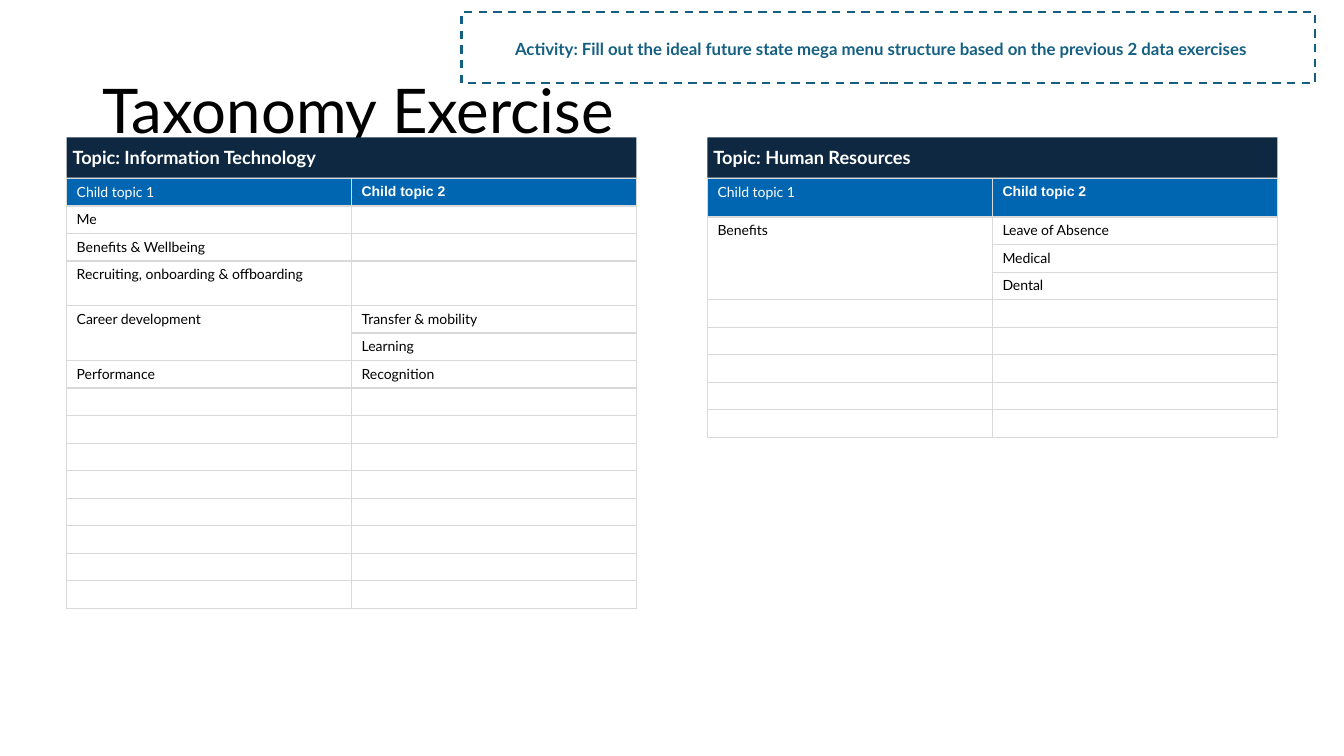
from lxml import etree
from pptx import Presentation
from pptx import util as u
from pptx.dml.color import RGBColor
from pptx.enum import dml, shapes, text
from pptx.oxml.ns import qn

# Content: None continues the topic above, "" is left open for the exercise
TITLE = "Taxonomy Exercise"
ACTIVITY = ("Activity: Fill out the ideal future state mega menu structure "
            "based on the previous 2 data exercises")
HEADINGS = ("Child topic 1", "Child topic 2")
OPEN_ROW = ("", "")
TOPICS = [
    {"name": "Topic: Information Technology", "left": 1.68, "header_height": 0.69,
     "tall_rows": {3: 1.12},
     "rows": [("Me", ""), ("Benefits & Wellbeing", ""),
              ("Recruiting, onboarding & offboarding", ""),
              ("Career development", "Transfer & mobility"), (None, "Learning"),
              ("Performance", "Recognition")] + [OPEN_ROW] * 8},
    {"name": "Topic: Human Resources", "left": 17.83, "header_height": 0.97,
     "tall_rows": {},
     "rows": [("Benefits", "Leave of Absence"), (None, "Medical"),
              (None, "Dental")] + [OPEN_ROW] * 5},
]

NAVY, BLUE, TEAL, GREY = "0E2841", "0066B2", "156082", "D9D9D9"
WHITE, BLACK = "FFFFFF", "000000"
TOPIC_WIDTH, BANNER_TOP, BANNER_HEIGHT, ROW_HEIGHT = 14.36, 3.46, 1.02, 0.695
TABLE_TOP = 4.5


def color(value):
    return RGBColor.from_string(value)


def box(left, top, width, height):
    return [u.Cm(n) for n in (left, top, width, height)]


def write(paragraph, words, size, ink, bold=False, font="Lato"):
    paragraph.alignment = text.PP_ALIGN.LEFT
    run = paragraph.add_run()
    run.text = words
    run.font.name, run.font.size, run.font.bold = font, u.Pt(size), bold
    run.font.color.rgb = color(ink)


def add_rectangle(left, top, width, height):
    rectangle = slide.shapes.add_shape(shapes.MSO_SHAPE.RECTANGLE,
                                       *box(left, top, width, height))
    rectangle.shadow.inherit = False
    return rectangle


def style_cell(cell, fill):
    properties = cell._tc.get_or_add_tcPr()
    for side in ("a:lnL", "a:lnR", "a:lnT", "a:lnB"):
        border = etree.SubElement(properties, qn(side), w=str(u.Pt(1)))
        solid = etree.SubElement(border, qn("a:solidFill"))
        etree.SubElement(solid, qn("a:srgbClr"), val=GREY)
    cell.fill.solid()
    cell.fill.fore_color.rgb = color(fill)


def fill_cell(cell, words, ink, bold, font):
    paragraph = cell.text_frame.paragraphs[0]
    if words:
        write(paragraph, words, 10, ink, bold, font)
    else:  # keeps an open row as low as a written one
        etree.SubElement(paragraph._p, qn("a:endParaRPr"), sz="1000")


def add_topic(topic):
    rows = [HEADINGS] + topic["rows"]
    heights = [topic["header_height"]] + [ROW_HEIGHT] * len(topic["rows"])
    for index, height in topic["tall_rows"].items():
        heights[index] = height

    # Table of child topics
    grid = slide.shapes.add_table(
        len(rows), 2, *box(topic["left"], TABLE_TOP, TOPIC_WIDTH, sum(heights))).table
    for r, (row, height) in enumerate(zip(rows, heights)):
        grid.rows[r].height = u.Cm(height)
        for c, words in enumerate(row):
            header = r == 0
            second_heading = header and c == 1
            cell = grid.cell(r, c)
            style_cell(cell, BLUE if header else WHITE)
            fill_cell(cell, words, WHITE if header else BLACK, second_heading,
                      "Arial" if second_heading else "Lato")

    # One cell for a topic that spans several children
    for r, (parent, _) in enumerate(rows):
        end = r
        while end + 1 < len(rows) and rows[end + 1][0] is None:
            end += 1
        if parent is not None and end > r:
            grid.cell(r, 0).merge(grid.cell(end, 0))

    # Banner with the topic name
    banner = add_rectangle(topic["left"], BANNER_TOP, TOPIC_WIDTH, BANNER_HEIGHT)
    banner.fill.solid()
    banner.fill.fore_color.rgb = color(NAVY)
    banner.line.fill.background()
    frame = banner.text_frame
    frame.margin_left = frame.margin_right = u.Cm(0.15)
    frame.margin_top = frame.margin_bottom = u.Cm(0.15)
    frame.vertical_anchor = text.MSO_ANCHOR.MIDDLE
    write(frame.paragraphs[0], topic["name"], 13, WHITE, True)


deck = Presentation()
deck.slide_width, deck.slide_height = u.Cm(33.87), u.Cm(19.05)
slide = deck.slides.add_slide(deck.slide_layouts[5])

# Title
title = slide.shapes.title
title.left, title.top, title.width, title.height = box(2.33, 1.01, 29.21, 3.68)
title.text_frame.vertical_anchor = text.MSO_ANCHOR.MIDDLE
title.text_frame.paragraphs[0].line_spacing = 0.9
write(title.text_frame.paragraphs[0], TITLE, 44, BLACK)

# Topics
for topic in TOPICS:
    add_topic(topic)

# Activity note in its dashed frame
note = slide.shapes.add_textbox(*box(12.73, 0.81, 22.22, 0.77)).text_frame
note.word_wrap = True
note.paragraphs[0].line_spacing = 1.07
note.paragraphs[0].space_after = u.Pt(8)
write(note.paragraphs[0], ACTIVITY, 12, TEAL, True)

note_frame = add_rectangle(11.63, 0.3, 21.51, 1.8)
note_frame.fill.background()
note_frame.line.color.rgb = color(TEAL)
note_frame.line.width = u.Pt(1.5)
note_frame.line.dash_style = dml.MSO_LINE.DASH

deck.save("out.pptx")
